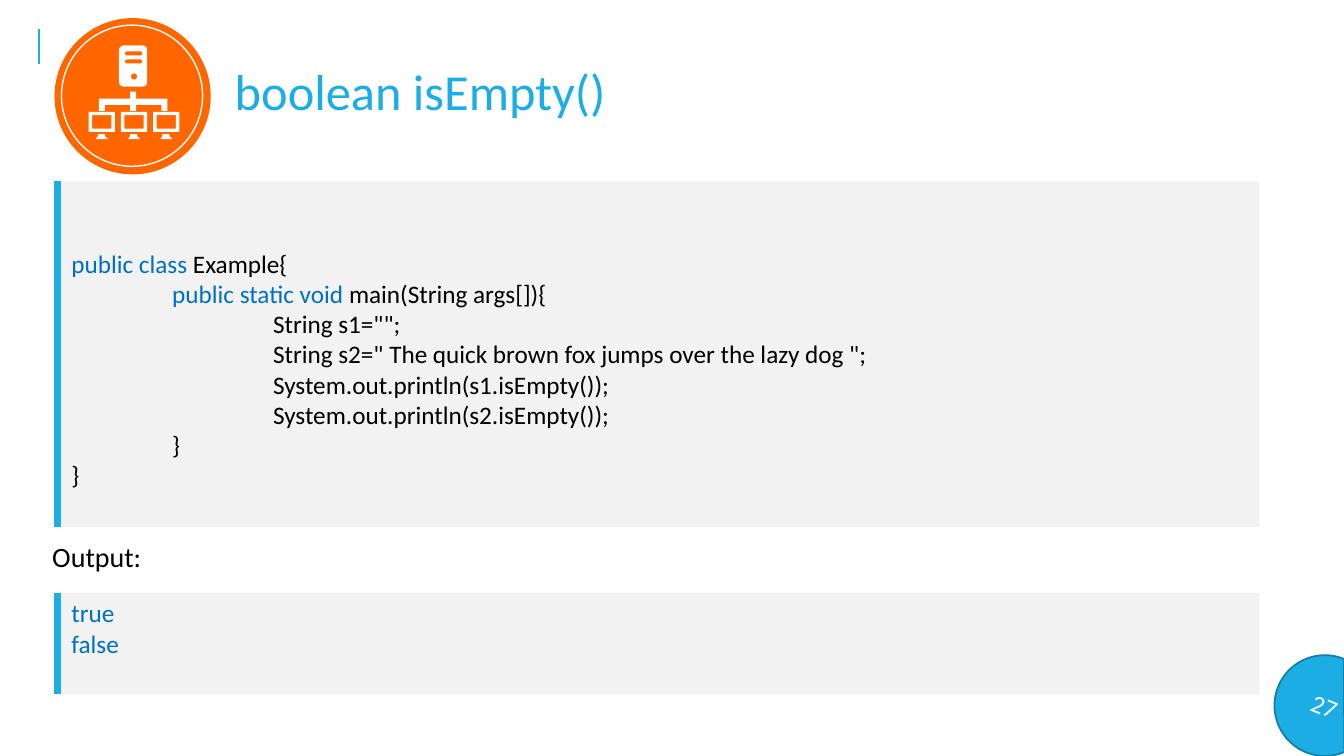
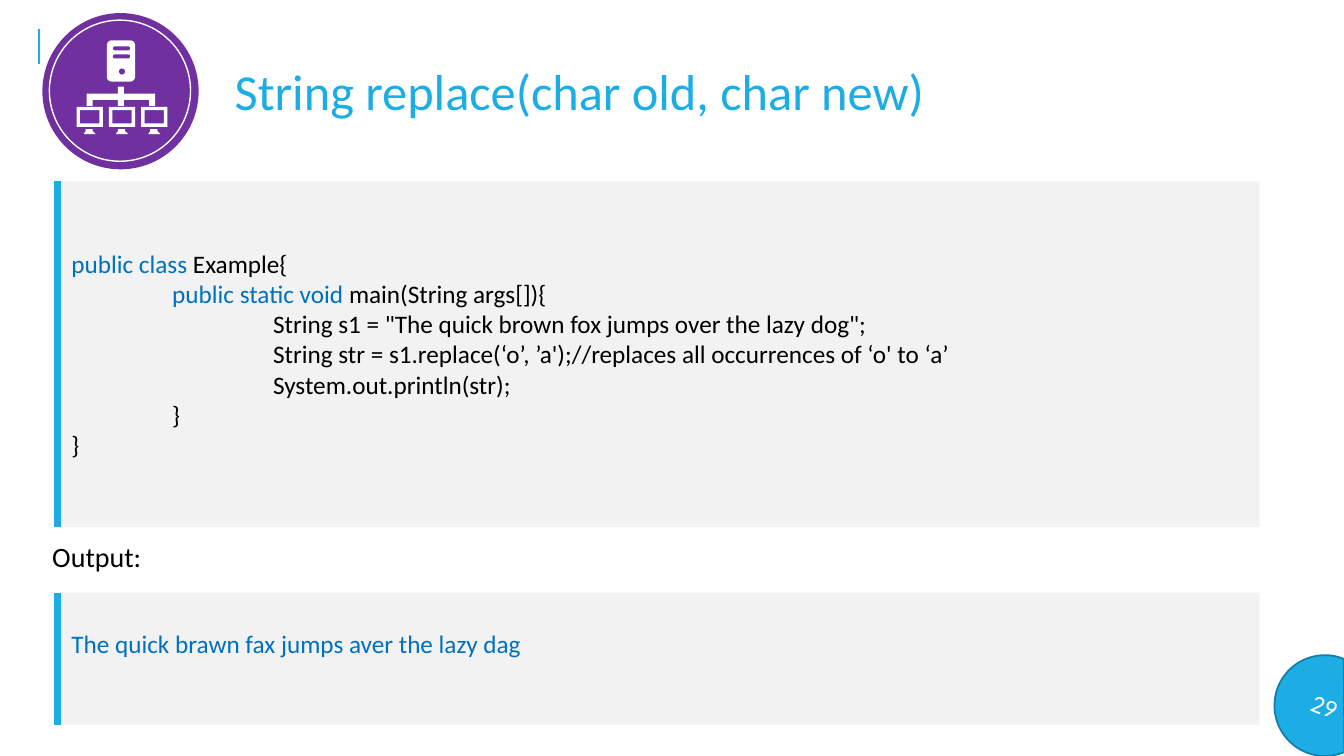
from dataclasses import dataclass
from typing import Any, NamedTuple

import pptx
import pptx.dml.color
import pptx.enum.shapes
import pptx.enum.text
import pptx.oxml.ns
import pptx.util
from lxml import etree

Inches = pptx.util.Inches
Pt = pptx.util.Pt
RGB = pptx.dml.color.RGBColor
SHAPE = pptx.enum.shapes.MSO_SHAPE
ALIGN = pptx.enum.text.PP_ALIGN
ANCHOR = pptx.enum.text.MSO_ANCHOR


@dataclass(frozen=True)
class Theme:
    font: str = "Calibri"
    accent: RGB = RGB(0x1C, 0xAD, 0xE4)
    accent_dark: RGB = RGB(0x14, 0x7E, 0xA6)
    keyword: RGB = RGB(0x00, 0x70, 0xC0)
    panel: RGB = RGB(0xF2, 0xF2, 0xF2)
    black: RGB = RGB(0, 0, 0)
    white: RGB = RGB(0xFF, 0xFF, 0xFF)
    orange: RGB = RGB(0xFF, 0x66, 0x00)
    purple: RGB = RGB(0x70, 0x30, 0xA0)
    title_size: float = 36
    label_size: float = 20
    body_size: float = 18


THEME = Theme()
LINE_HEIGHT = 0.305


class Box(NamedTuple):
    x: float
    y: float
    w: float
    h: float

    def lengths(self) -> list[int]:
        return [Inches(v) for v in self]


class Line(NamedTuple):
    keyword: str = ""
    rest: str = ""
    level: int = 0


class Badge(NamedTuple):
    x: float
    y: float
    color: RGB


@dataclass(frozen=True)
class MethodSlide:
    title: str
    number: str
    badge: Badge
    code: list[Line]
    output: list[Line]
    output_height: float
    output_skip: int = 0


def assign(obj: Any, values: dict[str, Any]) -> None:
    for name, value in values.items():
        setattr(obj, name, value)


def add_run(p: Any, text: str, size: float, color: RGB) -> None:
    r = p.add_run()
    r.text = text
    assign(r.font, {"name": THEME.font, "size": Pt(size)})
    r.font.color.rgb = color


def paint(sp: Any, fill: RGB, line: RGB | None = None, width: float = 1) -> None:
    sp.shadow.inherit = False
    sp.fill.solid()
    sp.fill.fore_color.rgb = fill
    if line is None:
        sp.line.fill.background()
    else:
        sp.line.color.rgb = line
        sp.line.width = Pt(width)


def add_shape(shapes: Any, kind: Any, box: Box, fill: RGB,
              line: RGB | None = None, width: float = 1) -> Any:
    sp = shapes.add_shape(kind, *box.lengths())
    paint(sp, fill, line, width)
    return sp


def add_outline(shapes: Any, x: float, y: float,
                points: list[tuple[float, float]], fill: RGB) -> None:
    pts = [(Inches(x + dx), Inches(y + dy)) for dx, dy in points]
    builder = shapes.build_freeform(*pts[0])
    builder.add_line_segments(pts[1:], close=True)
    paint(builder.convert_to_shape(), fill)


def add_rule(shapes: Any, x: float, top: float, bottom: float, width: float) -> None:
    cx = shapes.add_connector(pptx.enum.shapes.MSO_CONNECTOR.STRAIGHT,
                              *[Inches(v) for v in (x, top, x, bottom)])
    cx.line.color.rgb = THEME.accent
    cx.line.width = Pt(width)
    etree.SubElement(cx._element.spPr, pptx.oxml.ns.qn("a:effectLst"))


def add_text(s: Any, box: Box, text: str, size: float, color: RGB) -> None:
    tf = s.shapes.add_textbox(*box.lengths()).text_frame
    tf.word_wrap = True
    add_run(tf.paragraphs[0], text, size, color)


def add_panel(s: Any, top: float, height: float, lines: list[Line], skip: int) -> None:
    shapes = s.shapes.add_group_shape().shapes
    sp = add_shape(shapes, SHAPE.RECTANGLE, Box(0.61, top, 11.88, height), THEME.panel)
    tf = sp.text_frame
    assign(tf, {"word_wrap": True, "vertical_anchor": ANCHOR.TOP,
                "margin_top": Inches(0.05 + skip * LINE_HEIGHT)})
    for i, line in enumerate(lines):
        p = tf.add_paragraph() if i else tf.paragraphs[0]
        p.alignment = ALIGN.LEFT
        p._p.get_or_add_pPr().set("marL", str(Inches(line.level)))
        for text, color in ((line.keyword, THEME.keyword), (line.rest, THEME.black)):
            if text:
                add_run(p, text, THEME.body_size, color)
    add_rule(shapes, 0.57, top, top + height, 4.5)


def add_badge(s: Any, badge: Badge) -> None:
    shapes = s.shapes.add_group_shape().shapes
    x, y, color = badge
    white = THEME.white
    add_shape(shapes, SHAPE.OVAL, Box(x, y, 1.55, 1.55), color)
    add_shape(shapes, SHAPE.OVAL, Box(x + 0.07, y + 0.07, 1.4, 1.4), color, white)

    add_shape(shapes, SHAPE.ROUNDED_RECTANGLE, Box(x + 0.64, y + 0.27, 0.28, 0.41), white)
    for dy in (0.33, 0.41):
        bar = add_shape(shapes, SHAPE.ROUNDED_RECTANGLE,
                        Box(x + 0.7, y + dy, 0.17, 0.04), color)
        bar.adjustments[0] = 0.5
    add_shape(shapes, SHAPE.OVAL, Box(x + 0.76, y + 0.55, 0.06, 0.06), color)

    right = [(0.03, 0), (0.03, 0.07), (0.34, 0.07), (0.34, 0.19), (0.28, 0.19),
             (0.28, 0.13), (0.03, 0.13), (0.03, 0.19)]
    left = [(-dx, dy) for dx, dy in reversed(right)]
    add_outline(shapes, x + 0.78, y + 0.73, right + left, white)

    stand = [(0.02, 0), (0.09, 0), (0.09, 0.02), (0.12, 0.05), (0, 0.05), (0.02, 0.02)]
    for i in range(3):
        dx = x + 0.34 + 0.32 * i
        screen = add_shape(shapes, SHAPE.FRAME, Box(dx, y + 0.93, 0.26, 0.2), white)
        screen.adjustments[0] = 0.17
        add_outline(shapes, dx + 0.07, y + 1.15, stand, white)


def add_number(s: Any, number: str) -> None:
    sp = add_shape(s.shapes, SHAPE.CHORD, Box(12.64, 6.5, 1, 1),
                   THEME.accent, THEME.accent_dark, 1.25)
    sp.rotation = 22.2
    sp.adjustments[0], sp.adjustments[1] = 27, 161.87
    tf = sp.text_frame
    tf.vertical_anchor = ANCHOR.MIDDLE
    p = tf.paragraphs[0]
    p.alignment = ALIGN.CENTER
    add_run(p, number, THEME.body_size, THEME.white)


def add_slide(prs: Any, data: MethodSlide) -> None:
    s = prs.slides.add_slide(prs.slide_layouts[6])
    add_rule(s.shapes, 0.39, 0.29, 0.64, 1.5)
    add_text(s, Box(2.23, 0.55, 10.26, 0.71), data.title, THEME.title_size, THEME.accent)
    add_number(s, data.number)
    add_badge(s, data.badge)
    add_panel(s, 1.8, 3.43, data.code, 2)
    add_text(s, Box(0.42, 5.3, 1.2, 0.44), "Output:", THEME.label_size, THEME.black)
    add_panel(s, 5.88, data.output_height, data.output, data.output_skip)


def example(*statements: str) -> list[Line]:
    return [
        Line("public class ", "Example{"),
        Line("public static void ", "main(String args[]){", 1),
        *[Line(rest=text, level=2) for text in statements],
        Line(rest="}", level=1),
        Line(rest="}"),
    ]


SLIDES = [
    MethodSlide(
        title="boolean isEmpty()",
        number="27",
        badge=Badge(0.54, 0.18, THEME.orange),
        code=example(
            'String s1="";',
            'String s2=" The quick brown fox jumps over the lazy dog ";',
            "System.out.println(s1.isEmpty());",
            "System.out.println(s2.isEmpty());",
        ),
        output=[Line("true"), Line("false")],
        output_height=1.01,
    ),
    MethodSlide(
        title="String replace(char old, char new)",
        number="29",
        badge=Badge(0.42, 0.13, THEME.purple),
        code=example(
            'String s1 = "The quick brown fox jumps over the lazy dog";',
            "String str = s1.replace(‘o’, ’a');//replaces all occurrences of ‘o' to ‘a’",
            "System.out.println(str);",
        ),
        output=[Line("The quick brawn fax jumps aver the lazy dag")],
        output_height=1.31,
        output_skip=1,
    ),
]


def main() -> None:
    prs = pptx.Presentation()
    assign(prs, {"slide_width": Inches(13.33), "slide_height": Inches(7.5)})
    for data in SLIDES:
        add_slide(prs, data)
    prs.save("out.pptx")


if __name__ == "__main__":
    main()
